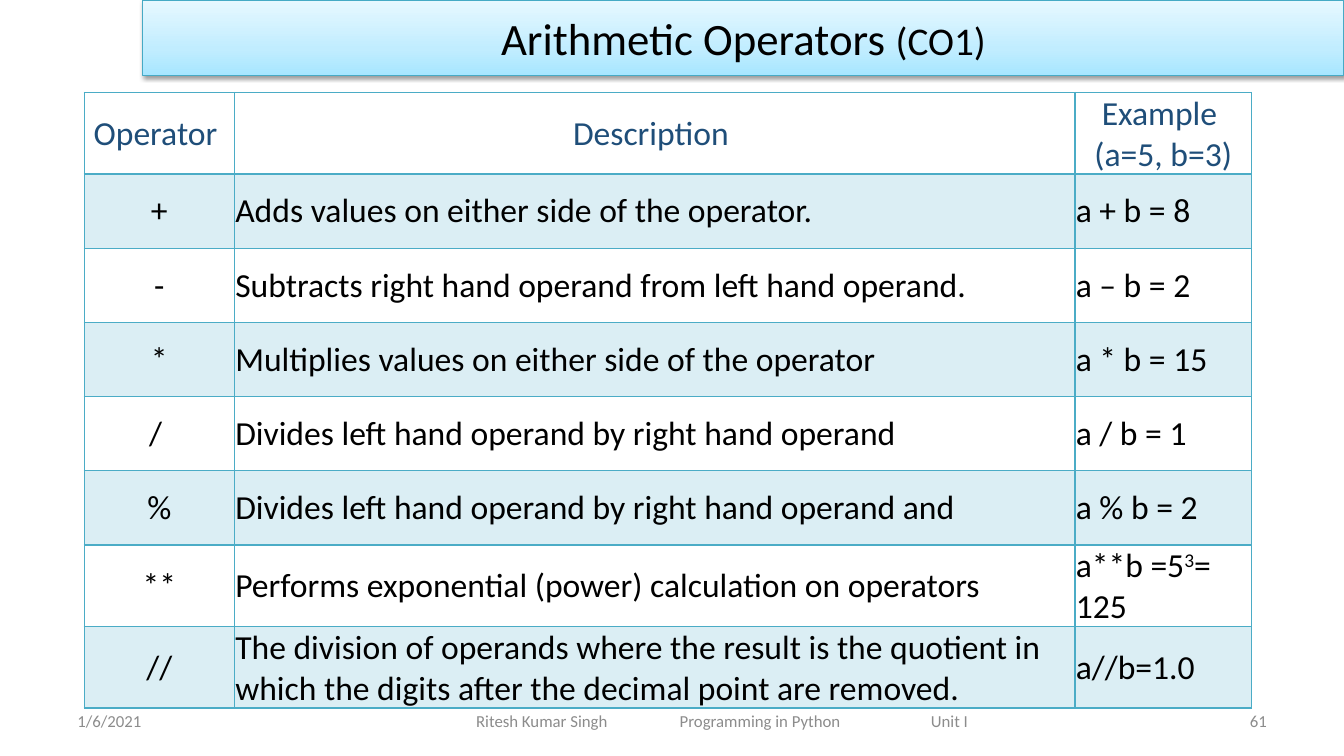
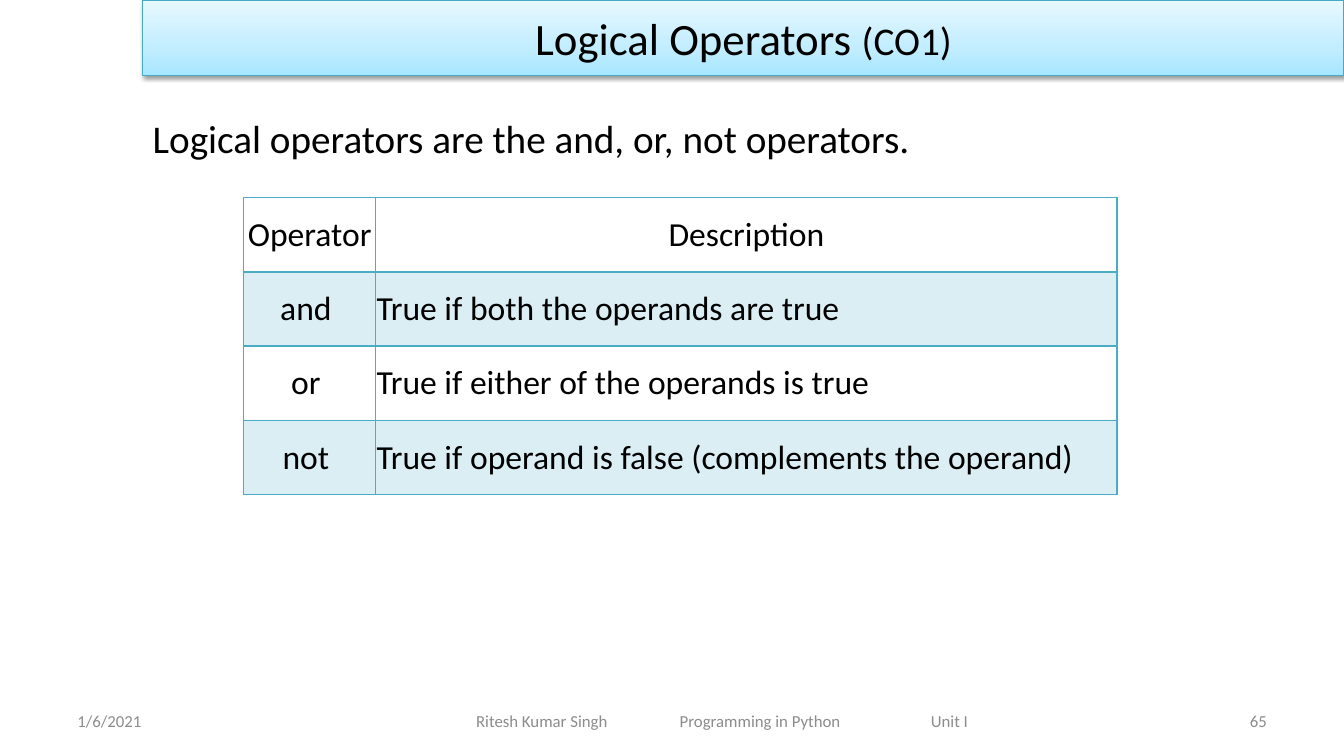
from dataclasses import dataclass

from lxml.etree import SubElement
from pptx import Presentation
from pptx.dml.color import RGBColor as RGB
from pptx.enum.text import MSO_ANCHOR as Anchor, MSO_AUTO_SIZE as AutoSize, PP_ALIGN as Align
from pptx.oxml.ns import qn
from pptx.util import Cm, Pt


@dataclass(frozen=True)
class Theme:
    font: str = "Calibri"
    text: str = "000000"
    muted: str = "8C8C8C"
    navy: str = "1F4E79"
    white: str = "FFFFFF"
    stripe: str = "DBEEF4"
    grid: str = "4BACC6"
    band_line: str = "46AAC5"
    band_stops: tuple = ((0, "A7E6FF"), (35, "C1EDFF"), (100, "E7F8FF"))
    title_size: int = 32
    body_size: int = 28
    table_size: int = 24
    footer_size: int = 12


@dataclass(frozen=True)
class Grid:
    left: float
    top: float
    cols: tuple
    rows: tuple  # first row is the header; ^ marks superscript
    header_color: str


@dataclass(frozen=True)
class Page:
    title: str
    number: str
    grid: Grid
    intro: str = ""


T = Theme()
ROW_H = 1.87
DATE = "1/6/2021"
FOOTER = "Ritesh Kumar Singh\tProgramming in Python\tUnit I"
FOOTER_TABS = (5.13, 11.46)

PAGES = (
    Page("Arithmetic Operators ", "61", Grid(2.12, 2.33, (3.79, 21.18, 4.45), (
        ("Operator ", "Description ", "Example \n(a=5, b=3)"),
        ("+", "Adds values on either side of the operator.", "a + b = 8"),
        ("-", "Subtracts right hand operand from left hand operand.", "a – b = 2"),
        ("*", "Multiplies values on either side of the operator", "a * b = 15"),
        ("/ ", "Divides left hand operand by right hand operand", "a / b = 1"),
        ("%", "Divides left hand operand by right hand operand and", "a % b = 2"),
        ("**", "Performs exponential (power) calculation on operators", "a**b =5^3^= 125"),
        ("//", "The division of operands where the result is the quotient in "
               "which the digits after the decimal point are removed.", "a//b=1.0"),
    ), T.navy)),
    Page("Logical Operators ", "65", Grid(6.14, 4.98, (3.33, 18.68), (
        ("Operator", "Description"),
        ("and ", "True if both the operands are true"),
        ("or ", "True if either of the operands is true"),
        ("not ", "True if operand is false (complements the operand)"),
    ), T.text), "Logical operators are the and, or, not operators."),
)


def style(r, size: int, color: str) -> None:
    r.font.name = T.font
    r.font.size = Pt(size)
    r.font.bold = False
    r.font.color.rgb = RGB.from_string(color)


def add_text(s, text: str, box: tuple, size: int, color: str,
             align=Align.LEFT, anchor=Anchor.MIDDLE, tabs: tuple = ()) -> None:
    tf = s.shapes.add_textbox(*map(Cm, box)).text_frame
    tf.word_wrap = True
    tf.vertical_anchor = anchor
    p = tf.paragraphs[0]
    p.text = text
    p.alignment = align
    if tabs:
        tf.margin_left = tf.margin_right = 0
        tab_list = SubElement(p._p.get_or_add_pPr(), qn("a:tabLst"))
        for pos in tabs:
            SubElement(tab_list, qn("a:tab"), pos=str(Cm(pos)), algn="l")
    for r in p.runs:
        style(r, size, color)


def add_title(s, title: str) -> None:
    sp = s.shapes.title
    sp.left, sp.top, sp.width, sp.height = Cm(3.6), 0, Cm(30.27), Cm(1.9)
    # Gradient, outline and soft shadow of the band
    sp.fill.gradient()
    sp.fill.gradient_angle = 90
    spPr = sp._element.spPr
    stops = spPr.find(qn("a:gradFill")).find(qn("a:gsLst"))
    for old in list(stops):
        stops.remove(old)
    for pos, color in T.band_stops:
        stop = SubElement(stops, qn("a:gs"), pos=str(pos * 1000))
        SubElement(stop, qn("a:srgbClr"), val=color)
    sp.line.color.rgb = RGB.from_string(T.band_line)
    sp.line.width = Pt(0.75)
    effects = SubElement(spPr, qn("a:effectLst"))
    shadow = SubElement(effects, qn("a:outerShdw"), blurRad=str(Pt(3.1)),
                        dist=str(Pt(1.6)), dir="5400000", rotWithShape="0")
    black = SubElement(shadow, qn("a:srgbClr"), val=T.text)
    SubElement(black, qn("a:alpha"), val="38000")
    # Title with its smaller course code
    tf = sp.text_frame
    tf.auto_size = AutoSize.NONE
    tf.vertical_anchor = Anchor.MIDDLE
    p = tf.paragraphs[0]
    p.text = title
    p.alignment = Align.CENTER
    p.add_run().text = "(CO1)"
    for r, size in zip(p.runs, (T.title_size, T.body_size)):
        style(r, size, T.text)


def set_borders(cell, top: int, bottom: int) -> None:
    tcPr = cell._tc.get_or_add_tcPr()
    for i, (side, width) in enumerate((("L", 1), ("R", 1), ("T", top), ("B", bottom))):
        ln = tcPr.makeelement(qn(f"a:ln{side}"), {"w": str(Pt(width))})
        fill = SubElement(ln, qn("a:solidFill"))
        SubElement(fill, qn("a:srgbClr"), val=T.grid)
        tcPr.insert(i, ln)


def fill_cell(cell, text: str, color: str, align) -> None:
    cell.vertical_anchor = Anchor.MIDDLE
    cell.margin_left = cell.margin_right = cell.margin_top = Cm(0.02)
    cell.margin_bottom = 0
    tf = cell.text_frame
    tf.text = text.split("^")[0]
    for part in text.split("^")[1:]:
        tf.paragraphs[-1].add_run().text = part
    for p in tf.paragraphs:
        p.alignment = align
        for i, r in enumerate(p.runs):
            style(r, T.table_size, color)
            if i % 2:
                r.font._element.set("baseline", "30000")


def add_grid(s, g: Grid) -> None:
    n = len(g.rows)
    table = s.shapes.add_table(n, len(g.cols), Cm(g.left), Cm(g.top),
                               Cm(sum(g.cols)), Cm(ROW_H * n)).table
    table.first_row = table.horz_banding = False
    for col, width in zip(table.columns, g.cols):
        col.width = Cm(width)
    for i, row in enumerate(g.rows):
        table.rows[i].height = Cm(ROW_H)
        for j, text in enumerate(row):
            cell = table.cell(i, j)
            centred = i == 0 or j == 0
            fill_cell(cell, text, T.text if i else g.header_color,
                      Align.CENTER if centred else Align.LEFT)
            cell.fill.solid()
            cell.fill.fore_color.rgb = RGB.from_string(T.stripe if i % 2 else T.white)
            set_borders(cell, top=2 if i == 1 else 1, bottom=2 if i == 0 else 1)


def add_footer(s, number: str) -> None:
    top, height = 17.65, 1.02
    add_text(s, DATE, (1.7, top, 7.9, height), T.footer_size, T.muted)
    add_text(s, FOOTER, (12, top, 13, height), T.footer_size, T.muted, tabs=FOOTER_TABS)
    add_text(s, number, (24.28, top, 7.9, height), T.footer_size, T.muted, Align.RIGHT)


def main() -> None:
    prs = Presentation()
    prs.slide_width, prs.slide_height = Cm(33.87), Cm(19.05)
    for page in PAGES:
        s = prs.slides.add_slide(prs.slide_layouts[5])  # title only
        add_title(s, page.title)
        if page.intro:
            add_text(s, page.intro, (3.6, 2.75, 28.58, 1.9), T.body_size, T.text,
                     anchor=Anchor.TOP)
        add_footer(s, page.number)
        add_grid(s, page.grid)
    prs.save("out.pptx")


if __name__ == "__main__":
    main()
